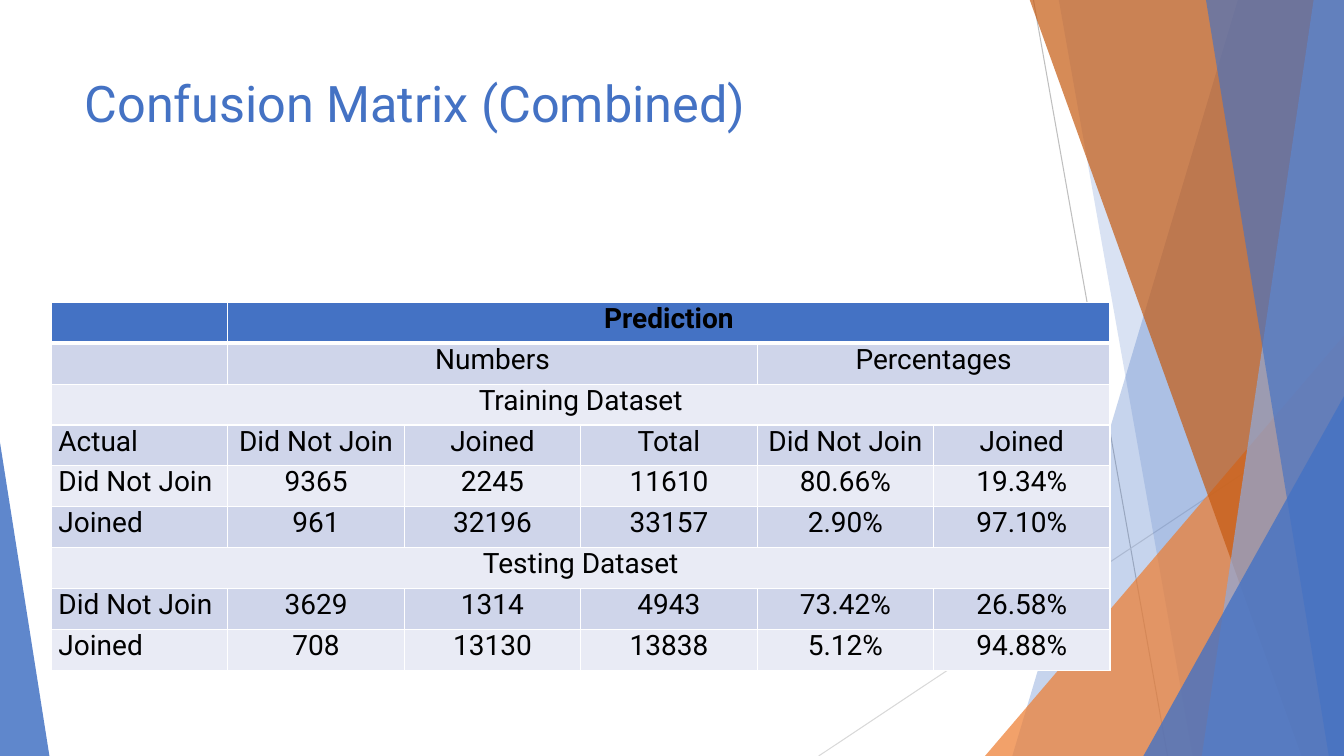
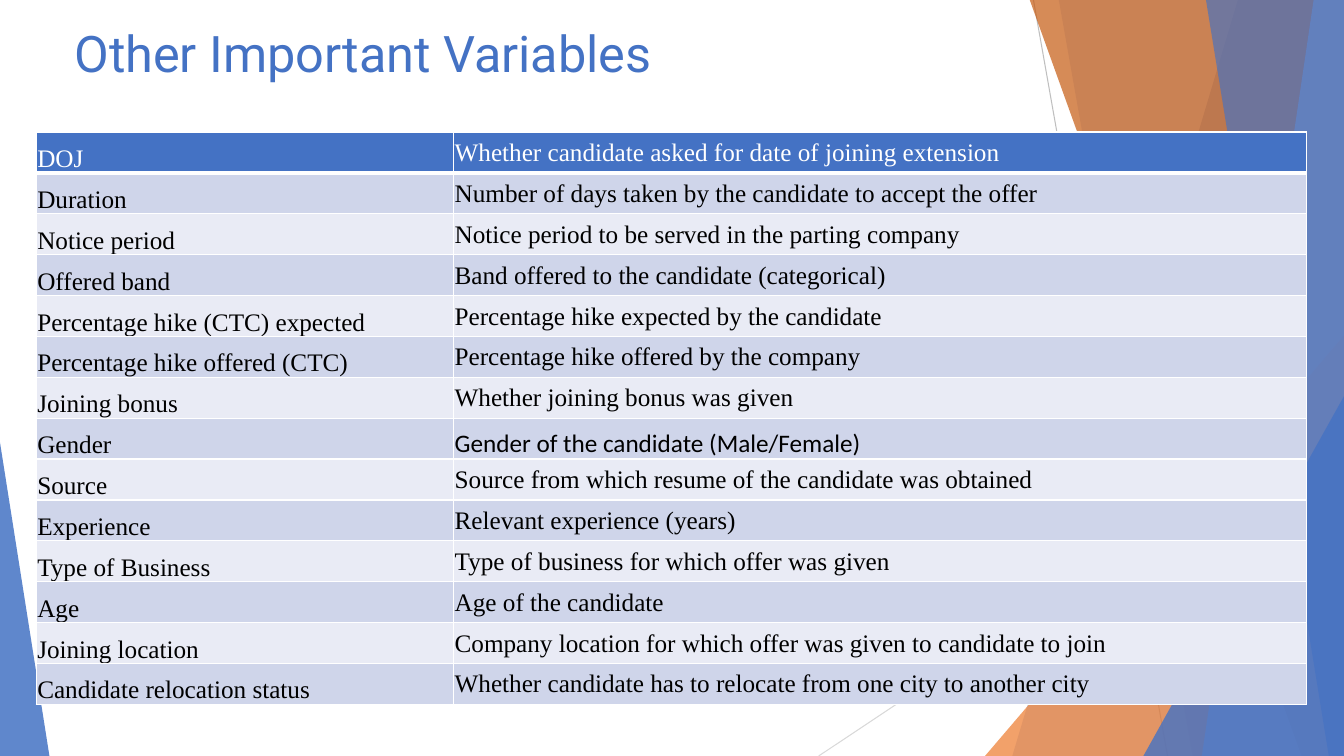
"""Build two table slides that share a title style and a faceted backdrop."""
from dataclasses import dataclass

from lxml import etree
from pptx import Presentation
from pptx import util as u
from pptx.dml.color import RGBColor
from pptx.enum import shapes, text
from pptx.oxml import ns


@dataclass(frozen=True)
class Theme:
    blue: str = "4472C4"
    pale_blue: str = "8FAADC"
    orange: str = "ED7D31"
    rust: str = "C55A11"
    grey: str = "BFBFBF"
    light_grey: str = "D9D9D9"
    band_dark: str = "CFD5EA"
    band_light: str = "E9EBF5"
    white: str = "FFFFFF"
    black: str = "000000"
    sans: str = "Roboto"
    serif: str = "Times New Roman"
    plain: str = "Calibri"
    title_size: int = 36
    matrix_size: int = 20
    list_size: int = 18


theme = Theme()
WIDTH, HEIGHT, BLEED = 13.33, 7.5, -0.01
ALIGN, ANCHOR = text.PP_ALIGN, text.MSO_ANCHOR

backdrop_lines = [
    (10.25, 0, 11.58, HEIGHT, theme.grey),
    (WIDTH, 4.03, 8.12, HEIGHT, theme.light_grey),
]
backdrop_facets = [
    ("band", (12.28, 10.04), theme.blue, 30),
    ("band", (10.5, 11.83), theme.blue, 20),
    ("triangle", (9.77, 3.33, 3.56, 1), theme.orange, 72),
    ("band", (10.21, 12.91), theme.rust, 70),
    ("band", (13.03, 11.92), theme.pale_blue, 70),
    ("band", (11.96, 13.18), theme.blue, 65),
    ("triangle", (11.34, 3.93, 1.99, 1), theme.blue, 80),
    ("triangle", (0, 4.39, 0.49, 0), theme.blue, 85),
]

matrix_rows = [
    ["", "Prediction", None, None, None, None],
    ["", "Numbers", None, None, "Percentages", None],
    ["Training Dataset", None, None, None, None, None],
    ["Actual", "Did Not Join", "Joined", "Total", "Did Not Join", "Joined"],
    ["Did Not Join", "9365", "2245", "11610", "80.66%", "19.34%"],
    ["Joined", "961", "32196", "33157", "2.90%", "97.10%"],
    ["Testing Dataset", None, None, None, None, None],
    ["Did Not Join", "3629", "1314", "4943", "73.42%", "26.58%"],
    ["Joined", "708", "13130", "13838", "5.12%", "94.88%"],
]
variable_rows = [
    ["DOJ", "Whether candidate asked for date of joining extension"],
    ["Duration", "Number of days taken by the candidate to accept the offer"],
    ["Notice period", "Notice period to be served in the parting company"],
    ["Offered band", "Band offered to the candidate (categorical)"],
    ["Percentage hike (CTC) expected", "Percentage hike expected by the candidate"],
    ["Percentage hike offered (CTC)", "Percentage hike offered by the company"],
    ["Joining bonus", "Whether joining bonus was given"],
    ["Gender", "Gender of the candidate (Male/Female)"],
    ["Source", "Source from which resume of the candidate was obtained"],
    ["Experience", "Relevant experience (years)"],
    ["Type of Business", "Type of business for which offer was given"],
    ["Age", "Age of the candidate"],
    ["Joining location", "Company location for which offer was given to candidate to join"],
    ["Candidate relocation status", "Whether candidate has to relocate from one city to another city"],
]
pages = [
    dict(title="Confusion Matrix (Combined)", title_box=(0.74, 0.67, 9.4, 0.94),
         rows=matrix_rows, table_box=(0.51, 3, 10.49, 3.65), columns=[1.75] * 6,
         margins=(0.07, 0, 0.07, 0), font=theme.sans, size=theme.matrix_size,
         header_color=theme.black, header_bold=True,
         aligns=[ALIGN.LEFT] + [ALIGN.CENTER] * 5, anchors=[ANCHOR.TOP] * 6, special={}),
    dict(title="Other Important Variables", title_box=(0.64, 0.17, 9.4, 0.89),
         rows=variable_rows, table_box=(0.36, 1.31, 12.61, 5.68), columns=[4.14, 8.46],
         margins=(0.01, 0.01, 0.01, 0), font=theme.serif, size=theme.list_size,
         header_color=theme.white, header_bold=False,
         aligns=[ALIGN.LEFT, ALIGN.JUSTIFY], anchors=[ANCHOR.BOTTOM, ANCHOR.MIDDLE],
         special={(7, 1): (theme.plain, ALIGN.LEFT, ANCHOR.BOTTOM)}),
]


def add_run(paragraph, words, font, size, color, bold=False):
    run = paragraph.add_run()
    run.text = words
    run.font.name, run.font.size, run.font.bold = font, u.Pt(size), bold
    run.font.color.rgb = RGBColor.from_string(color)


def style_cell(cell, row_index, fill):
    properties = cell._tc.get_or_add_tcPr()
    for side in "LRTB":
        heavy = (row_index, side) in ((0, "B"), (1, "T"))
        line = etree.SubElement(properties, ns.qn(f"a:ln{side}"), w=str(u.Pt(3 if heavy else 1)))
        solid = etree.SubElement(line, ns.qn("a:solidFill"))
        etree.SubElement(solid, ns.qn("a:srgbClr"), val=theme.white)
    cell.fill.solid()
    cell.fill.fore_color.rgb = RGBColor.from_string(fill)


presentation = Presentation()
presentation.slide_width, presentation.slide_height = u.Inches(WIDTH), u.Inches(HEIGHT)

for page in pages:
    slide = presentation.slides.add_slide(presentation.slide_layouts[6])
    backdrop = slide.shapes.add_group_shape().shapes

    for *ends, color in backdrop_lines:
        connector = backdrop.add_connector(
            shapes.MSO_CONNECTOR.STRAIGHT, *[u.Inches(value) for value in ends])
        connector.line.color.rgb = RGBColor.from_string(color)
        connector.line.width = u.Pt(0.75)
        etree.SubElement(connector.element.spPr, ns.qn("a:effectLst"))

    for kind, geometry, color, opacity in backdrop_facets:
        if kind == "band":
            top_x, bottom_x = geometry
            builder = backdrop.build_freeform(u.Inches(top_x), u.Inches(BLEED))
            corners = [(WIDTH, BLEED), (WIDTH, HEIGHT), (bottom_x, HEIGHT)]
            builder.add_line_segments([(u.Inches(x), u.Inches(y)) for x, y in corners])
            shape = builder.convert_to_shape()
        else:
            left, top, width, apex = geometry
            box = [u.Inches(value) for value in (left, top, width, HEIGHT - top)]
            shape = backdrop.add_shape(shapes.MSO_SHAPE.ISOSCELES_TRIANGLE, *box)
            shape.adjustments[0] = apex
        shape.shadow.inherit = False
        shape.line.fill.background()
        shape.fill.solid()
        shape.fill.fore_color.rgb = RGBColor.from_string(color)
        tint = shape.element.spPr.find(ns.qn("a:solidFill"))[0]
        etree.SubElement(tint, ns.qn("a:alpha"), val=str(opacity * 1000))

    title = slide.shapes.add_textbox(*[u.Inches(value) for value in page["title_box"]])
    title.text_frame.word_wrap = True
    add_run(title.text_frame.paragraphs[0], page["title"],
            theme.sans, theme.title_size, theme.blue)

    rows, columns = page["rows"], page["columns"]
    table = slide.shapes.add_table(
        len(rows), len(columns), *[u.Inches(value) for value in page["table_box"]]).table
    for column, width in zip(table.columns, columns):
        column.width = u.Inches(width)

    for row_index, row in enumerate(rows):
        band = theme.band_dark if row_index % 2 else theme.band_light
        fill = band if row_index else theme.blue
        color = theme.black if row_index else page["header_color"]
        for column_index, words in enumerate(row):
            cell = table.cell(row_index, column_index)
            style_cell(cell, row_index, fill)
            if words is None:
                continue
            last = column_index
            while last + 1 < len(row) and row[last + 1] is None:
                last += 1
            font, align, anchor = page["special"].get(
                (row_index, column_index),
                (page["font"], page["aligns"][column_index], page["anchors"][column_index]))
            if last > column_index:
                cell.merge(table.cell(row_index, last))
                align = ALIGN.CENTER
            (cell.margin_left, cell.margin_top, cell.margin_right,
             cell.margin_bottom) = [u.Inches(value) for value in page["margins"]]
            cell.vertical_anchor = anchor
            if words:
                paragraph = cell.text_frame.paragraphs[0]
                paragraph.alignment = align
                add_run(paragraph, words, font, page["size"], color,
                        page["header_bold"] and row_index == 0)

presentation.save("out.pptx")
